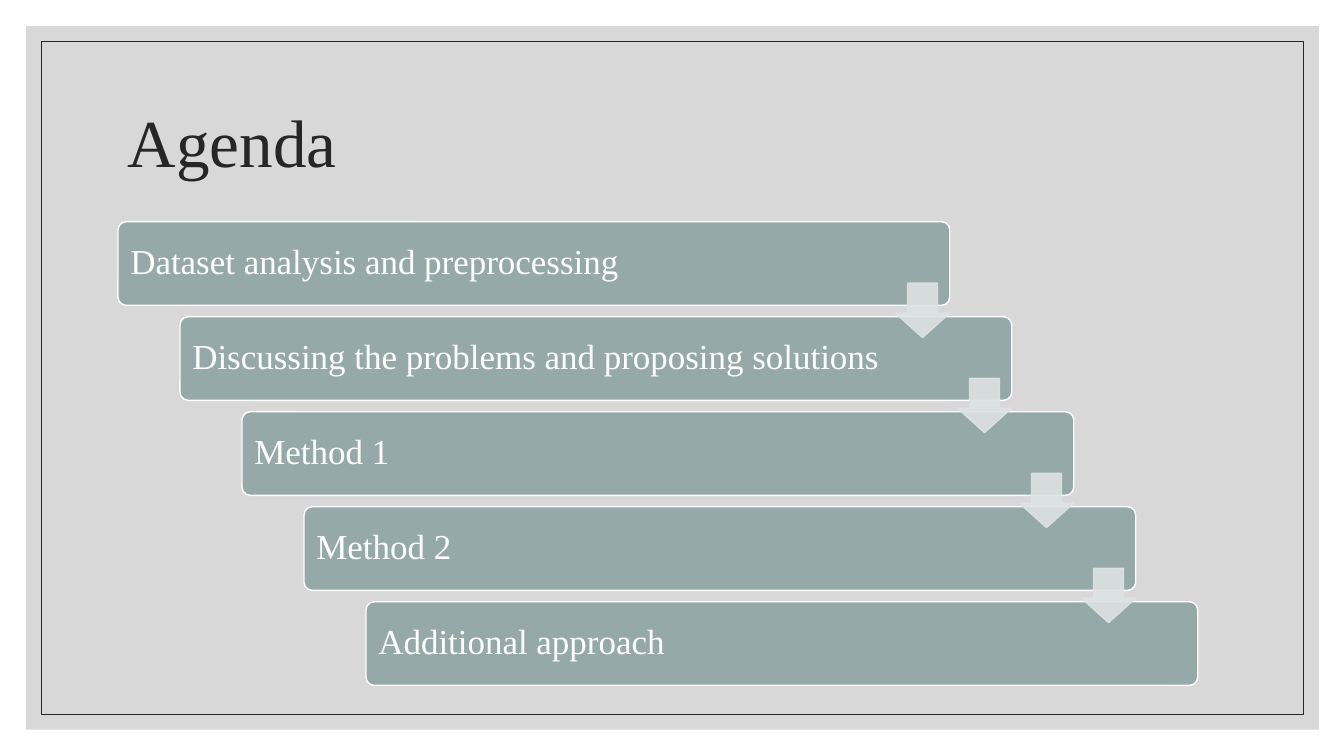
from dataclasses import dataclass

import lxml.etree
import pptx
import pptx.dml.color
import pptx.enum.shapes
import pptx.enum.text
import pptx.oxml.ns
import pptx.util

Inches = pptx.util.Inches
Preset = pptx.enum.shapes.MSO_SHAPE


@dataclass(frozen=True)
class Theme:
    font: str = "Times New Roman"
    ink: str = "262626"
    panel: str = "BFBFBF"
    bar: str = "96A9A9"
    arrow: str = "DDE2E2"
    white: str = "FFFFFF"
    title_size: float = 48
    step_size: float = 25


THEME = Theme()
STEPS = [
    "Dataset analysis and preprocessing",
    "Discussing the problems and proposing solutions",
    "Method 1",
    "Method 2",
    "Additional approach",
]
FIRST_LEFT, FIRST_TOP = 1.17, 2.2
LAST_LEFT, LAST_TOP = 3.63, 5.97
BAR_WIDTH, BAR_HEIGHT = 8.25, 0.83
ARROW_SIZE, ARROW_DROP = 0.54, 0.61


def rgb(value):
    return pptx.dml.color.RGBColor.from_string(value)


def set_opacity(shape, percent):
    for color in shape.element.spPr.iter(pptx.oxml.ns.qn("a:srgbClr")):
        alpha = lxml.etree.SubElement(color, pptx.oxml.ns.qn("a:alpha"))
        alpha.set("val", str(percent * 1000))


def add_block(slide, preset, box, fill=None, line=None, weight=1, adjust=(), opacity=None):
    block = slide.shapes.add_shape(preset, *map(Inches, box))
    block.shadow.inherit = False
    for index, value in enumerate(adjust):
        block.adjustments[index] = value
    if fill:
        block.fill.solid()
        block.fill.fore_color.rgb = rgb(fill)
    else:
        block.fill.background()
    if line:
        block.line.color.rgb = rgb(line)
        block.line.width = pptx.util.Pt(weight)
    else:
        block.line.fill.background()
    if opacity:
        set_opacity(block, opacity)
    return block


def write(shape, text, size, color, inset):
    frame = shape.text_frame
    frame.word_wrap = True
    frame.vertical_anchor = pptx.enum.text.MSO_ANCHOR.MIDDLE
    frame.margin_left = frame.margin_right = Inches(inset)
    paragraph = frame.paragraphs[0]
    paragraph.alignment = pptx.enum.text.PP_ALIGN.LEFT
    paragraph.line_spacing = 0.9
    run = paragraph.add_run()
    run.text = text
    run.font.name = THEME.font
    run.font.size = pptx.util.Pt(size)
    run.font.color.rgb = rgb(color)


def add_backdrop(slide):
    add_block(slide, Preset.RECTANGLE, (0.26, 0.26, 12.82, 6.98), fill=THEME.panel, opacity=60)
    add_block(slide, Preset.RECTANGLE, (0.41, 0.41, 12.52, 6.68), line=THEME.ink, weight=0.5)


def add_title(slide, text):
    title = slide.shapes.add_textbox(Inches(1.17), Inches(0.7), Inches(11), Inches(1.5))
    write(title, text, THEME.title_size, THEME.ink, 0.1)


def add_step(slide, left, top, text):
    bar = add_block(slide, Preset.ROUNDED_RECTANGLE, (left, top, BAR_WIDTH, BAR_HEIGHT),
                    fill=THEME.bar, line=THEME.white, adjust=(0.1,))
    write(bar, text, THEME.step_size, THEME.white, 0.1)


def add_step_arrow(slide, left, top):
    box = (left + BAR_WIDTH - ARROW_SIZE, top + ARROW_DROP, ARROW_SIZE, ARROW_SIZE)
    add_block(slide, Preset.DOWN_ARROW, box, fill=THEME.arrow, line=THEME.arrow,
              adjust=(0.55, 0.45), opacity=90)


def add_staircase(slide, steps):
    gaps = len(steps) - 1
    corners = [
        (FIRST_LEFT + (LAST_LEFT - FIRST_LEFT) * index / gaps,
         FIRST_TOP + (LAST_TOP - FIRST_TOP) * index / gaps)
        for index in range(len(steps))
    ]
    for (left, top), text in zip(corners, steps):
        add_step(slide, left, top, text)
    for left, top in corners[:-1]:
        add_step_arrow(slide, left, top)


def main():
    deck = pptx.Presentation()
    deck.slide_width, deck.slide_height = Inches(13.33), Inches(7.5)
    slide = deck.slides.add_slide(deck.slide_layouts[6])
    add_backdrop(slide)
    add_title(slide, "Agenda")
    add_staircase(slide, STEPS)
    deck.save("out.pptx")


if __name__ == "__main__":
    main()
